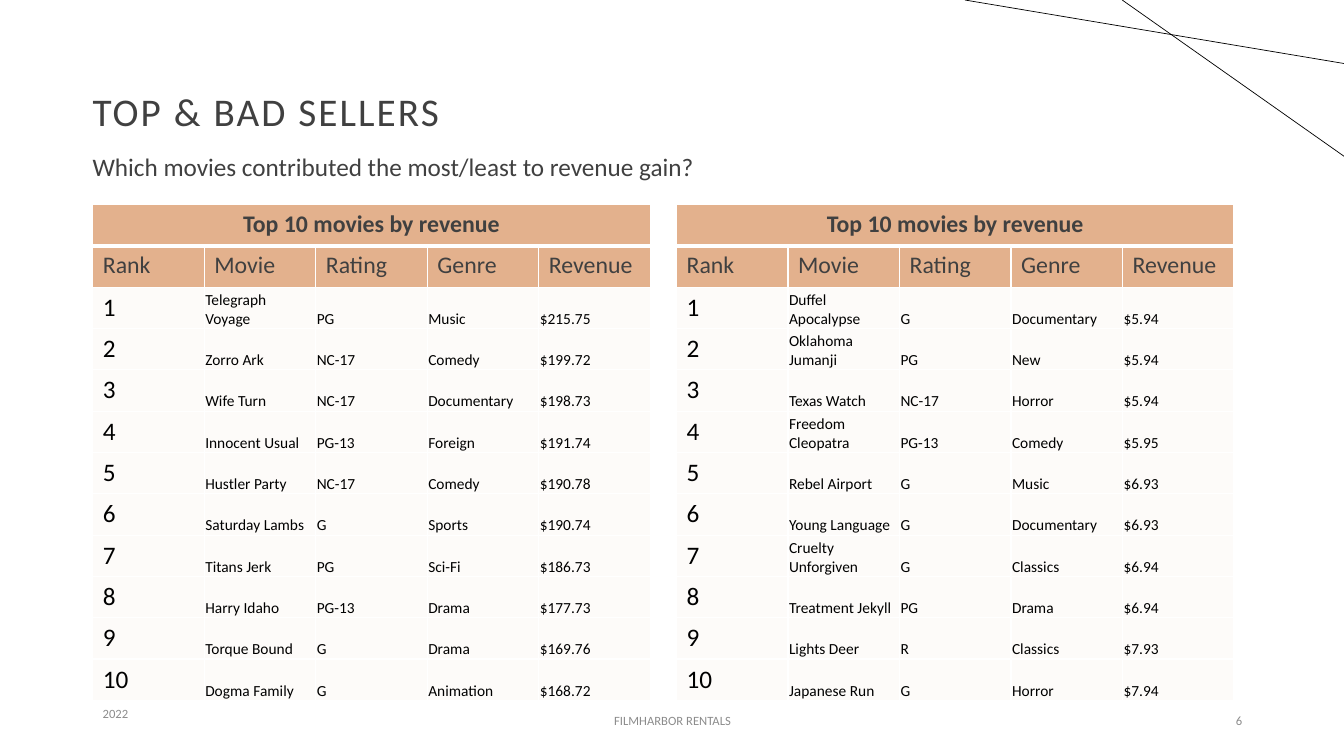
from lxml.etree import SubElement
from pptx import Presentation
from pptx.dml.color import RGBColor
from pptx.enum.shapes import MSO_CONNECTOR
from pptx.enum.text import MSO_ANCHOR as Anchor, PP_ALIGN as Align
from pptx.oxml.ns import qn
from pptx.util import Inches, Pt

COLORS = {"ink": "404040", "footer": "8C8C8C", "black": "000000",
          "header": "E3B18D", "body": "FDFBF9", "border": "FFFFFF"}
HEADINGS = ["Rank", "Movie", "Rating", "Genre", "Revenue"]
BEST_SELLERS = [
    ("Telegraph Voyage", "PG", "Music", "$215.75"),
    ("Zorro Ark", "NC-17", "Comedy", "$199.72"),
    ("Wife Turn", "NC-17", "Documentary", "$198.73"),
    ("Innocent Usual", "PG-13", "Foreign", "$191.74"),
    ("Hustler Party", "NC-17", "Comedy", "$190.78"),
    ("Saturday Lambs", "G", "Sports", "$190.74"),
    ("Titans Jerk", "PG", "Sci-Fi", "$186.73"),
    ("Harry Idaho", "PG-13", "Drama", "$177.73"),
    ("Torque Bound", "G", "Drama", "$169.76"),
    ("Dogma Family", "G", "Animation", "$168.72"),
]
WORST_SELLERS = [
    ("Duffel Apocalypse", "G", "Documentary", "$5.94"),
    ("Oklahoma Jumanji", "PG", "New", "$5.94"),
    ("Texas Watch", "NC-17", "Horror", "$5.94"),
    ("Freedom Cleopatra", "PG-13", "Comedy", "$5.95"),
    ("Rebel Airport", "G", "Music", "$6.93"),
    ("Young Language", "G", "Documentary", "$6.93"),
    ("Cruelty Unforgiven", "G", "Classics", "$6.94"),
    ("Treatment Jekyll", "PG", "Drama", "$6.94"),
    ("Lights Deer", "R", "Classics", "$7.93"),
    ("Japanese Run", "G", "Horror", "$7.94"),
]


class SlideBuilder:
    font = "Calibri"

    def __init__(self, slide):
        self.slide = slide

    def color(self, name):
        return RGBColor.from_string(COLORS[name])

    def style(self, paragraph, size, color, bold=False, align=Align.LEFT):
        paragraph.alignment = align
        for run in paragraph.runs:
            run.font.name = self.font
            run.font.size = Pt(size)
            run.font.bold = bold
            run.font.color.rgb = self.color(color)

    def text(self, box, words, size, color, align=Align.LEFT, anchor=Anchor.MIDDLE):
        frame = self.slide.shapes.add_textbox(*map(Inches, box)).text_frame
        frame.word_wrap = True
        frame.vertical_anchor = anchor
        frame.text = words
        self.style(frame.paragraphs[0], size, color, align=align)
        return frame

    def line(self, start, end):
        connector = self.slide.shapes.add_connector(
            MSO_CONNECTOR.STRAIGHT, *map(Inches, start + end))
        connector.line.color.rgb = self.color("black")
        connector.line.width = Pt(0.5)
        SubElement(connector._element.spPr, qn("a:effectLst"))

    def borders(self, cell, top=1, bottom=1):
        properties = cell._tc.get_or_add_tcPr()
        for side, width in (("L", 1), ("R", 1), ("T", top), ("B", bottom)):
            edge = SubElement(properties, qn(f"a:ln{side}"), w=str(Pt(width)))
            fill = SubElement(edge, qn("a:solidFill"))
            SubElement(fill, qn("a:srgbClr"), val=COLORS["border"])

    def cell(self, cell, words, fill, size, color, top=1, bottom=1, **text_style):
        self.borders(cell, top, bottom)
        cell.fill.solid()
        cell.fill.fore_color.rgb = self.color(fill)
        cell.text = words
        self.style(cell.text_frame.paragraphs[0], size, color, **text_style)

    def detail(self, cell, words):
        """Fill a small, bottom-aligned cell with tight margins."""
        self.cell(cell, words, "body", 11, "black")
        cell.vertical_anchor = Anchor.BOTTOM
        cell.margin_left = cell.margin_right = cell.margin_top = Inches(0.01)
        cell.margin_bottom = 0

    def ranking(self, left, title, movies):
        row_count, column_count = len(movies) + 2, len(HEADINGS)
        width, height = Inches(5.53), Inches(4.92)
        table = self.slide.shapes.add_table(
            row_count, column_count, Inches(left), Inches(2.03), width, height).table
        table.first_row = table.horz_banding = False
        for column in table.columns:
            column.width = width // column_count
        for row in table.rows:
            row.height = height // row_count

        for index, heading in enumerate(HEADINGS):
            self.cell(table.cell(0, index), "" if index else title, "header", 17, "ink",
                      bottom=3, bold=True, align=Align.CENTER)
            self.cell(table.cell(1, index), heading, "header", 17, "ink", top=3)
        table.cell(0, 0).merge(table.cell(0, column_count - 1))

        for rank, movie in enumerate(movies, 1):
            self.cell(table.cell(rank + 1, 0), str(rank), "body", 18, "black")
            for index, value in enumerate(movie, 1):
                self.detail(table.cell(rank + 1, index), value)


def main():
    deck = Presentation()
    deck.slide_width, deck.slide_height = Inches(13.33), Inches(7.5)
    builder = SlideBuilder(deck.slides.add_slide(deck.slide_layouts[6]))

    builder.line((11.13, 0), (13.33, 1.55))
    builder.line((9.57, 0), (13.33, 0.63))

    title = builder.text((0.92, 0.4, 11.5, 1.45), "TOP & BAD SELLERS", 28, "ink")
    title.margin_left = 0
    title.paragraphs[0].line_spacing = 0.9
    title.paragraphs[0].runs[0].font._element.set("spc", "150")

    question = builder.text((0.82, 1.49, 7.4, 0.54),
                            "Which movies contributed the most/least to revenue gain?",
                            18, "ink", anchor=Anchor.TOP)
    question.paragraphs[0].line_spacing = 0.9
    question.paragraphs[0].space_before = Pt(10)

    builder.ranking(0.92, "Top 10 movies by revenue", BEST_SELLERS)
    builder.ranking(6.71, "Top 10 movies by revenue", WORST_SELLERS)

    year = builder.text((0.92, 6.95, 3, 0.4), "2022", 9, "footer")
    year.margin_bottom = Inches(0.2)
    builder.text((4.42, 6.95, 4.5, 0.4), "FILMHARBOR RENTALS", 9, "footer", Align.CENTER)
    builder.text((9.42, 6.95, 3, 0.4), "6", 9, "footer", Align.RIGHT)

    deck.save("out.pptx")


if __name__ == "__main__":
    main()
